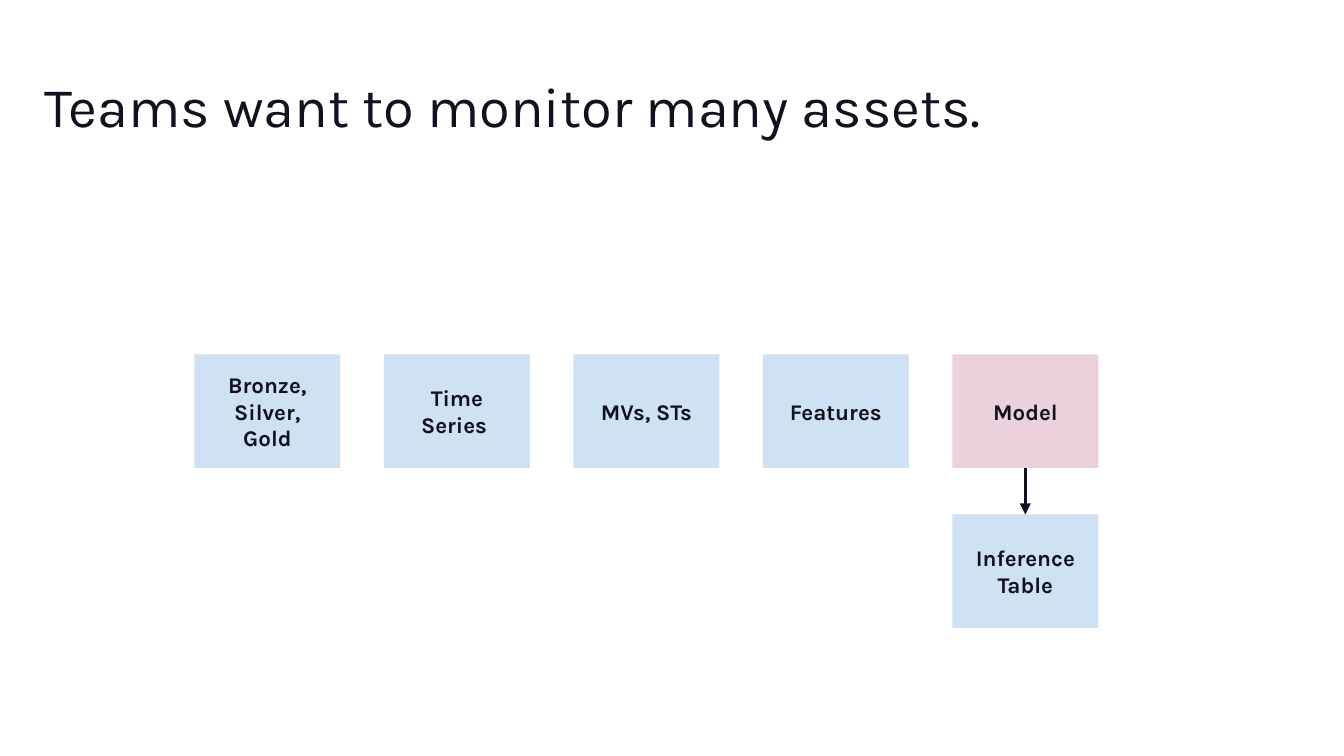
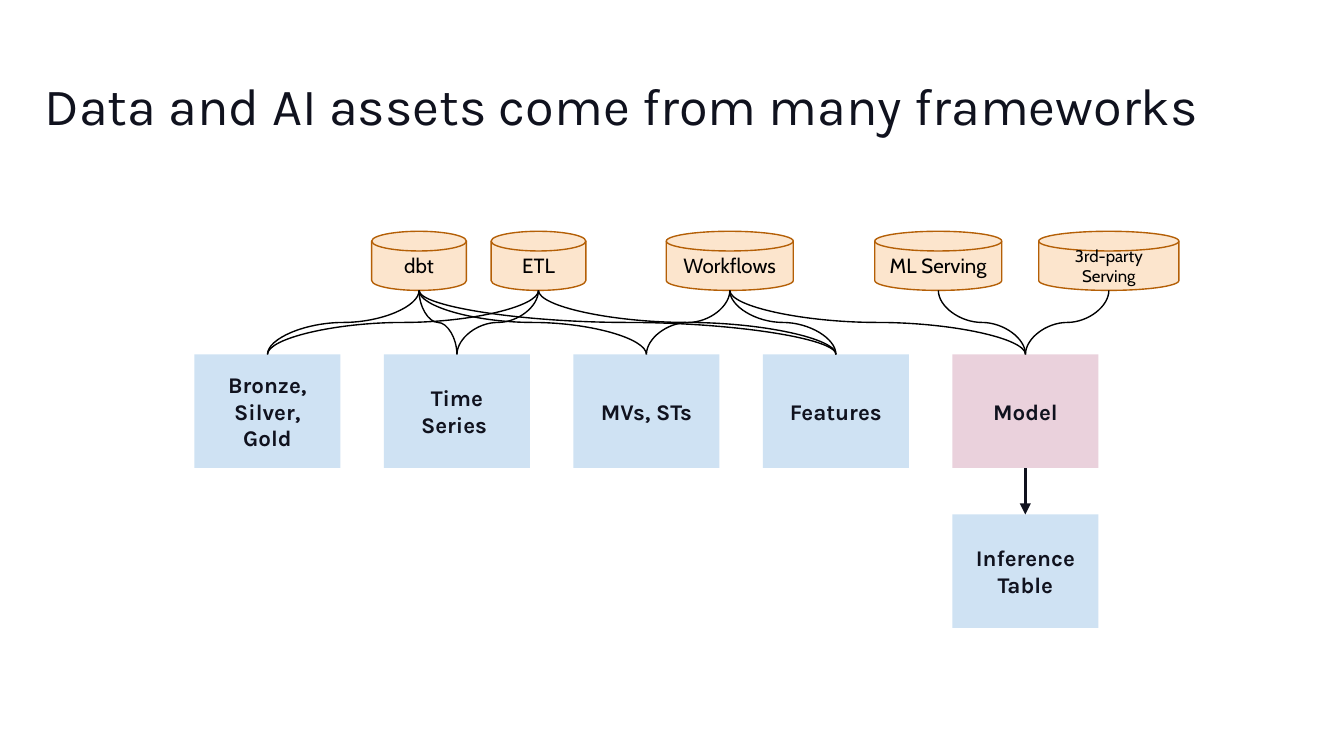
from typing import NamedTuple

from lxml.etree import SubElement
from pptx import Presentation
from pptx.dml.color import RGBColor
from pptx.enum.shapes import MSO_CONNECTOR as Connector, MSO_SHAPE as Preset
from pptx.enum.text import MSO_ANCHOR as Anchor, PP_ALIGN as Align
from pptx.oxml.ns import qn
from pptx.shapes.autoshape import Shape
from pptx.slide import Slide
from pptx.util import Inches, Pt

COLORS = {
    "background": "FFFFFF",
    "ink": "10121E",
    "black": "000000",
    "data": "CFE2F3",
    "model": "EAD1DC",
    "framework": "FCE5CD",
    "framework_line": "B45F06",
}
HEADING_FONT = "Karla"
FRAMEWORK_FONT = "Cabin"

SLIDE_WIDTH, SLIDE_HEIGHT = 10, 5.625
COLUMN_PITCH, ROW_PITCH = 1.41, 1.19
FIRST_COLUMN, FIRST_ROW = 1.99, 3.06
INSET = 0.1
RECTANGLE_BOTTOM, DISK_BOTTOM, TOP = 2, 3, 0


class Cell(NamedTuple):
    column: float
    row: float
    width: float
    height: float


class Asset(NamedTuple):
    label: str
    column: int
    row: int = 0
    color: str = "data"


class Framework(NamedTuple):
    label: str
    column: float
    width: float
    feeds: tuple[str, ...]
    size: int = 11


class TextStyle(NamedTuple):
    font: str
    size: int
    color: str
    bold: bool = False
    align: Align = Align.CENTER
    inset: float = INSET
    line_spacing: float = 1.0


ASSETS = (
    Asset("Bronze, Silver, Gold", 0),
    Asset("Time Series ", 1),
    Asset("MVs, STs", 2),
    Asset("Features", 3),
    Asset("Model", 4, color="model"),
    Asset("Inference Table", 4, row=1),
)
FRAMEWORKS = (
    Framework("dbt", 0.8, 0.5, ("Bronze, Silver, Gold", "Time Series ", "MVs, STs", "Features")),
    Framework("ETL", 1.43, 0.5, ("Bronze, Silver, Gold", "Time Series ", "Features")),
    Framework("Workflows", 2.44, 0.67, ("MVs, STs", "Features", "Model")),
    Framework("ML Serving", 3.54, 0.67, ("Model",)),
    Framework("3rd-party Serving", 4.44, 0.74, ("Model",), size=9),
)
TITLE_CELL = Cell(2.13, -1.89, 6.61, 0.53)
ASSET_STYLE = TextStyle(HEADING_FONT, 12, "ink", bold=True)


def rgb(name: str) -> RGBColor:
    return RGBColor.from_string(COLORS[name])


def frame(cell: Cell) -> tuple[int, int, int, int]:
    width, height = cell.width * COLUMN_PITCH, cell.height * ROW_PITCH
    left = FIRST_COLUMN + cell.column * COLUMN_PITCH - width / 2
    top = FIRST_ROW + cell.row * ROW_PITCH - height / 2
    return Inches(left), Inches(top), Inches(width), Inches(height)


def write(shape: Shape, text: str, style: TextStyle) -> None:
    text_frame = shape.text_frame
    text_frame.text = text
    text_frame.word_wrap = True
    text_frame.vertical_anchor = Anchor.MIDDLE
    text_frame.margin_left = text_frame.margin_right = Inches(style.inset)
    text_frame.margin_top = text_frame.margin_bottom = Inches(style.inset)
    paragraph = text_frame.paragraphs[0]
    paragraph.alignment = style.align
    paragraph.line_spacing = style.line_spacing
    for run in paragraph.runs:
        run.font.name = style.font
        run.font.size = Pt(style.size)
        run.font.bold = style.bold
        run.font.color.rgb = rgb(style.color)


def add_title(slide: Slide, text: str, size: int) -> None:
    style = TextStyle(HEADING_FONT, size, "ink", align=Align.LEFT, inset=0, line_spacing=0.9)
    write(slide.shapes.add_textbox(*frame(TITLE_CELL)), text, style)


def add_node(slide: Slide, preset: Preset, cell: Cell, fill: str) -> Shape:
    shape = slide.shapes.add_shape(preset, *frame(cell))
    shape.shadow.inherit = False
    shape.fill.solid()
    shape.fill.fore_color.rgb = rgb(fill)
    shape.line.fill.background()
    return shape


def add_asset(slide: Slide, asset: Asset) -> Shape:
    cell = Cell(asset.column, asset.row, 0.77, 0.71)
    shape = add_node(slide, Preset.RECTANGLE, cell, asset.color)
    write(shape, asset.label, ASSET_STYLE)
    return shape


def add_framework(slide: Slide, framework: Framework) -> Shape:
    cell = Cell(framework.column, -0.94, framework.width, 0.37)
    shape = add_node(slide, Preset.FLOWCHART_MAGNETIC_DISK, cell, "framework")
    shape.line.color.rgb = rgb("framework_line")
    shape.line.width = Pt(0.75)
    write(shape, framework.label, TextStyle(FRAMEWORK_FONT, framework.size, "black"))
    return shape


def add_curve(slide: Slide, source: Shape, target: Shape, site: int,
              color: str, width: float, arrow: bool = False) -> None:
    start_x = source.left + source.width // 2
    start_y = source.top + source.height
    end_x = target.left + target.width // 2
    span, drop = end_x - start_x, target.top - start_y

    curve = slide.shapes.add_connector(Connector.CURVE, start_x, start_y, end_x, target.top)
    curve.begin_connect(source, site)
    curve.end_connect(target, TOP)
    curve.left = (start_x + end_x - drop) // 2
    curve.top = (start_y + target.top - abs(span)) // 2
    curve.width, curve.height = drop, abs(span)

    properties = curve._element.spPr
    transform = properties.find(qn("a:xfrm"))
    for flip in ("flipH", "flipV"):
        transform.attrib.pop(flip, None)
    if span < 0:
        transform.set("rot", str(90 * 60000))
    else:
        transform.set("rot", str(270 * 60000))
        transform.set("flipH", "1")

    curve.line.color.rgb = rgb(color)
    curve.line.width = Pt(width)
    if arrow:
        SubElement(properties.find(qn("a:ln")), qn("a:tailEnd"), type="triangle")
    SubElement(properties, qn("a:effectLst"))


def add_assets(slide: Slide) -> dict[str, Shape]:
    shapes = {asset.label: add_asset(slide, asset) for asset in ASSETS}
    add_curve(slide, shapes["Model"], shapes["Inference Table"],
              RECTANGLE_BOTTOM, "ink", 1.5, arrow=True)
    return shapes


def add_frameworks(slide: Slide, assets: dict[str, Shape]) -> None:
    for framework in FRAMEWORKS:
        disk = add_framework(slide, framework)
        for label in framework.feeds:
            add_curve(slide, disk, assets[label], DISK_BOTTOM, "black", 0.75)


def add_slide(presentation: Presentation, title: str, size: int) -> Slide:
    slide = presentation.slides.add_slide(presentation.slide_layouts[6])
    slide.background.fill.solid()
    slide.background.fill.fore_color.rgb = rgb("background")
    add_title(slide, title, size)
    return slide


def main() -> None:
    presentation = Presentation()
    presentation.slide_width = Inches(SLIDE_WIDTH)
    presentation.slide_height = Inches(SLIDE_HEIGHT)

    add_assets(add_slide(presentation, "Teams want to monitor many assets.", 30))

    frameworks_slide = add_slide(presentation, "Data and AI assets come from many frameworks", 28)
    add_frameworks(frameworks_slide, add_assets(frameworks_slide))

    presentation.save("out.pptx")


if __name__ == "__main__":
    main()
